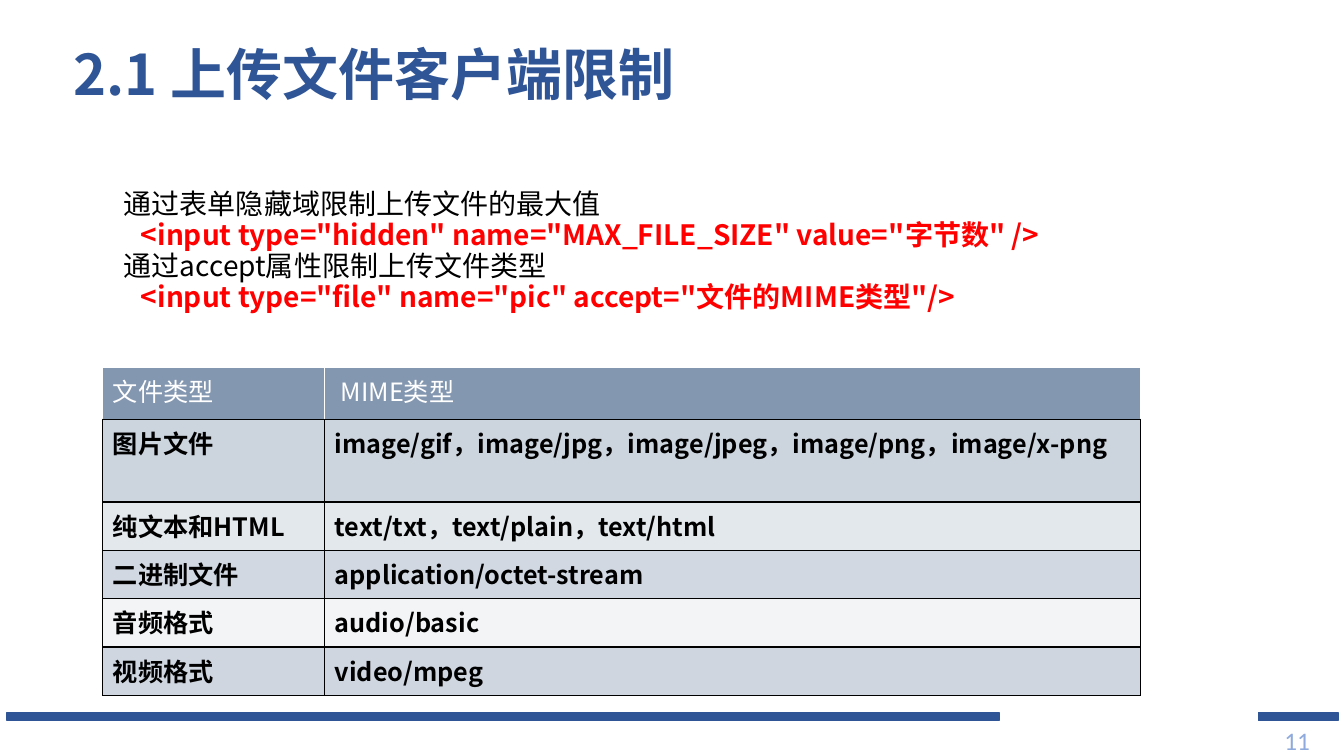
import pptx
import pptx.util
import pptx.dml.color
import pptx.enum.shapes
import pptx.enum.text
import pptx.oxml
import pptx.oxml.ns

Inches, Pt = pptx.util.Inches, pptx.util.Pt
WIDTH, HEIGHT = 13.33, 7.5
FONT = "Noto Sans CJK SC"
COLORS = {"navy": "2F5597", "slate": "8497B0", "red": "FF0000", "black": "000000",
          "white": "FFFFFF", "pale": "8FAADC", "outline": "4472C4"}
FORMATS = {
    "title": {"size": Pt(40), "bold": True, "name": FONT},
    "plain": {"size": Pt(20), "bold": False, "name": FONT},
    "code": {"size": Pt(20), "bold": True, "name": FONT},
    "head": {"size": Pt(18), "bold": False, "name": FONT},
    "cell": {"size": Pt(18), "bold": True, "name": FONT},
    "number": {"size": Pt(18), "bold": False, "name": "Calibri"},
}
BODY = [
    ("通过表单隐藏域限制上传文件的最大值",
     '<input type="hidden" name="MAX_FILE_SIZE" value="字节数" />'),
    ("通过accept属性限制上传文件类型",
     '<input type="file" name="pic" accept="文件的MIME类型"/>'),
]
HEADINGS = ("文件类型", "MIME类型")
MIME_ROWS = [
    ("图片文件", "image/gif，image/jpg，image/jpeg，image/png，image/x-png", 41, 0.82),
    ("纯文本和HTML", "text/txt，text/plain，text/html", 22, 0.48),
    ("二进制文件", "application/octet-stream", 37, 0.48),
    ("音频格式", "audio/basic", 10, 0.48),
    ("视频格式", "video/mpeg", 39, 0.48),
]


def rgb(color):
    """Return the named colour."""
    return pptx.dml.color.RGBColor.from_string(COLORS[color])


def element(markup):
    """Parse one DrawingML element."""
    space = pptx.oxml.ns.nsdecls("a")
    return pptx.oxml.parse_xml(markup.replace(">", f" {space}>", 1))


def write(para, text, style, color):
    """Add one formatted span to a paragraph."""
    span = para.add_run()
    span.text = text
    for name, value in FORMATS[style].items():
        setattr(span.font, name, value)
    span.font.color.rgb = rgb(color)
    east = element("<a:ea></a:ea>")
    east.set("typeface", FORMATS[style]["name"])
    span.font._element.append(east)
    return span


def add_title(page, text):
    """Place and fill the title placeholder."""
    title = page.shapes.title
    places = {"left": 0.63, "top": 0.04, "width": 11.5, "height": 1.45}
    for name, value in places.items():
        setattr(title, name, Inches(value))
    frame = title.text_frame
    frame.auto_size = pptx.enum.text.MSO_AUTO_SIZE.NONE
    frame.vertical_anchor = pptx.enum.text.MSO_ANCHOR.MIDDLE
    para = frame.paragraphs[0]
    para.alignment = pptx.enum.text.PP_ALIGN.LEFT
    para.line_spacing = 0.9
    write(para, text, "title", "navy")


def add_box(page, left, top, width, height):
    """Add a wrapping text box and return its frame."""
    box = page.shapes.add_textbox(*map(Inches, (left, top, width, height)))
    box.text_frame.word_wrap = True
    return box.text_frame


def add_body(page):
    """Add the explanations, each followed by its indented code line."""
    frame = add_box(page, 1.13, 1.84, 11.97, 1.6)
    lines = [(text, style) for pair in BODY for text, style in zip(pair, ("plain", "code"))]
    for index, (text, style) in enumerate(lines):
        para = frame.add_paragraph() if index else frame.paragraphs[0]
        para.line_spacing = 0.9
        para.space_before = Pt(0.6 if index else 0)
        if style == "code":
            para._p.get_or_add_pPr().set("marL", str(Inches(0.17)))
        write(para, text, style, "red" if style == "code" else "black")


def add_bar(page, left, width):
    """Add one footer bar."""
    bar = page.shapes.add_shape(pptx.enum.shapes.MSO_SHAPE.RECTANGLE,
                                *map(Inches, (left, 7.07, width, 0.08)))
    bar.shadow.inherit = False
    bar.fill.solid()
    bar.fill.fore_color.rgb = rgb("navy")
    bar.line.color.rgb = rgb("navy")
    bar.line.width = Pt(1)


def add_number(page, text):
    """Add the outlined page number."""
    frame = add_box(page, 12.64, 7.15, 0.63, 0.4)
    span = write(frame.paragraphs[0], text, "number", "pale")
    span.font._element.insert(0, element(
        f'<a:ln w="12700"><a:solidFill><a:srgbClr val="{COLORS["outline"]}"/>'
        "</a:solidFill></a:ln>"))


def format_cell(cell, text, style, color, alpha, edges):
    """Fill one cell with text, a tint and four borders."""
    write(cell.text_frame.paragraphs[0], text, style, color)
    properties = cell._tc.get_or_add_tcPr()
    for side, edge in zip("LRTB", edges):
        properties.append(element(
            f'<a:ln{side} w="12700"><a:solidFill><a:srgbClr val="{COLORS[edge]}"/>'
            f"</a:solidFill></a:ln{side}>"))
    properties.append(element(
        f'<a:solidFill><a:srgbClr val="{COLORS["slate"]}">'
        f'<a:alpha val="{alpha * 1000}"/></a:srgbClr></a:solidFill>'))


def add_mime_table(page):
    """Add the table of file types and their MIME types."""
    rows = [(*HEADINGS, 100, 0.52), *MIME_ROWS]
    total = sum(row[-1] for row in rows)
    table = page.shapes.add_table(len(rows), len(HEADINGS), Inches(1.02), Inches(3.64),
                                  Inches(10.29), Inches(total)).table
    for column, width in zip(table.columns, (2.2, 8.09)):
        column.width = Inches(width)
    for index, (kind, mime, alpha, height) in enumerate(rows):
        table.rows[index].height = Inches(height)
        style, color = ("cell", "black") if index else ("head", "white")
        edges = ["black"] * 4 if index else ["white"] * 3 + ["black"]
        for column, text in enumerate((kind, mime)):
            format_cell(table.cell(index, column), text, style, color, alpha, edges)
    table.cell(0, 1).margin_left = Inches(0.16)


def main():
    """Build and save the slide."""
    deck = pptx.Presentation()
    deck.slide_width, deck.slide_height = Inches(WIDTH), Inches(HEIGHT)
    page = deck.slides.add_slide(deck.slide_layouts.get_by_name("Title Only"))
    for left, width in ((0.07, 9.84), (12.48, 0.79)):
        add_bar(page, left, width)
    add_number(page, "11")
    add_body(page)
    add_title(page, "2.1 上传文件客户端限制")
    add_mime_table(page)
    deck.save("out.pptx")


if __name__ == "__main__":
    main()
